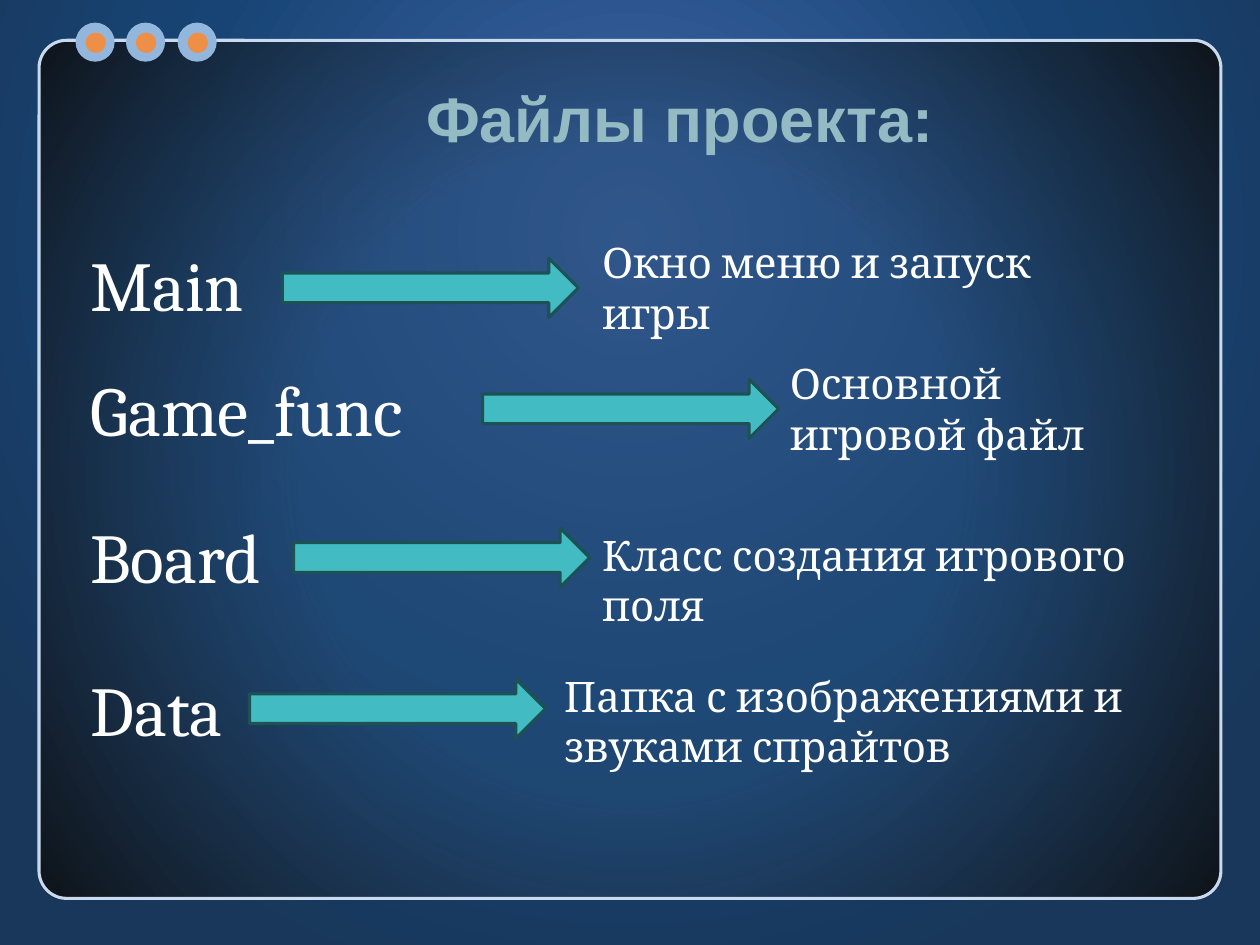
from dataclasses import dataclass
from lxml.etree import SubElement
from pptx import Presentation
from pptx.dml.color import RGBColor
from pptx.enum.shapes import MSO_SHAPE
from pptx.enum.text import MSO_ANCHOR, MSO_AUTO_SIZE, PP_ALIGN
from pptx.oxml.ns import qn
from pptx.util import Inches, Pt


@dataclass(frozen=True)
class Theme:
    text: str = "FFFFFF"
    arrow: str = "42BCC2"
    arrow_edge: str = "1D5255"
    panel_edge: str = "C9DAEE"
    ring: str = "93B6DD"
    dot: str = "EE8F48"
    backdrop: tuple = ((0, "4368AB", 100), (59, "174475", 100), (100, "18375A", 100))
    panel: tuple = ((45, "254B75", 60), (100, "0D0D0D", 85))
    heading: tuple = ((0, "DDE9EC", 100), (75, "94BAC3", 100), (100, "528693", 100))
    heading_font: str = "Arial"
    body_font: str = "Cambria"
    heading_size: int = 36
    name_size: int = 40
    purpose_size: int = 24
    edge_width: float = 1.75


def apply(target, values):
    for name, value in values.items():
        setattr(target, name, value)


def place(shape, box):
    apply(shape, dict(zip(("left", "top", "width", "height"), map(Inches, box))))


def paint_gradient(owner, fill, stops, focus=None):
    fill.gradient()
    gradient = owner.xpath(".//a:gradFill")[0]
    for child in list(gradient):
        gradient.remove(child)
    stop_list = SubElement(gradient, qn("a:gsLst"))
    for position, color, opacity in stops:
        stop = SubElement(stop_list, qn("a:gs"), pos=str(position * 1000))
        tint = SubElement(stop, qn("a:srgbClr"), val=color)
        if opacity < 100:
            SubElement(tint, qn("a:alpha"), val=str(opacity * 1000))
    if focus:
        circle = SubElement(gradient, qn("a:path"), path="circle")
        edges = {side: str(share * 1000) for side, share in zip("ltrb", focus)}
        SubElement(circle, qn("a:fillToRect"), edges)
    else:
        SubElement(gradient, qn("a:lin"), ang="5400000", scaled="0")


class SlideBuilder:
    def __init__(self, slide, theme):
        self.slide = slide
        self.theme = theme

    def backdrop(self):
        paint_gradient(self.slide.element, self.slide.background.fill,
                       self.theme.backdrop, (50, 0, 50, 50))

    def shape(self, preset, box, color=None, edge=None):
        shape = self.slide.shapes.add_shape(preset, *map(Inches, box))
        shape.shadow.inherit = False
        if color:
            shape.fill.solid()
            shape.fill.fore_color.rgb = RGBColor.from_string(color)
        if edge:
            shape.line.color.rgb = RGBColor.from_string(edge)
            shape.line.width = Pt(self.theme.edge_width)
        else:
            shape.line.fill.background()
        return shape

    def panel(self, box):
        panel = self.shape(MSO_SHAPE.ROUNDED_RECTANGLE, box, edge=self.theme.panel_edge)
        panel.adjustments[0] = 0.032
        paint_gradient(panel.element, panel.fill, self.theme.panel, (50, 50, 50, 50))

    def ringed_dot(self, left, top):
        self.shape(MSO_SHAPE.OVAL, (left, top, 0.31, 0.31), self.theme.ring)
        self.shape(MSO_SHAPE.OVAL, (left + 0.08, top + 0.08, 0.16, 0.16), self.theme.dot)

    def title(self, wording, box):
        title = self.slide.shapes.title
        title.element.getparent().append(title.element)
        place(title, box)
        apply(title.text_frame, {"text": wording, "vertical_anchor": MSO_ANCHOR.MIDDLE})
        paragraph = title.text_frame.paragraphs[0]
        paragraph.alignment = PP_ALIGN.CENTER
        font = paragraph.runs[0].font
        apply(font, {"name": self.theme.heading_font,
                     "size": Pt(self.theme.heading_size), "bold": True})
        paint_gradient(title.element, font.fill, self.theme.heading)

    def text(self, wording, box, size):
        frame = self.slide.shapes.add_textbox(*map(Inches, box)).text_frame
        apply(frame, {"text": wording, "word_wrap": True,
                      "auto_size": MSO_AUTO_SIZE.SHAPE_TO_FIT_TEXT})
        font = frame.paragraphs[0].runs[0].font
        apply(font, {"name": self.theme.body_font, "size": Pt(size)})
        font.color.rgb = RGBColor.from_string(self.theme.text)

    def arrow(self, left, top):
        self.shape(MSO_SHAPE.RIGHT_ARROW, (left, top, 2.35, 0.47),
                   self.theme.arrow, self.theme.arrow_edge)


PROJECT_FILES = (
    ("Main", (0.62, 1.87, 1.71, 0.77), (2.24, 2.05),
     "Окно меню и запуск игры", (4.68, 1.83, 3.9, 0.91)),
    ("Game_func", (0.62, 2.86, 3.32, 0.77), (3.83, 3.01),
     "Основной игровой файл", (6.17, 2.79, 2.77, 0.91)),
    ("Board", (0.62, 4.03, 1.89, 0.77), (2.33, 4.19),
     "Класс создания игрового поля", (4.68, 4.15, 5, 0.5)),
    ("Data", (0.62, 5.24, 1.71, 0.77), (1.98, 5.39),
     "Папка с изображениями и звуками спрайтов", (4.38, 5.27, 5, 0.91)),
)


def main():
    presentation = Presentation()
    apply(presentation, {"slide_width": Inches(10), "slide_height": Inches(7.5)})
    theme = Theme()
    builder = SlideBuilder(
        presentation.slides.add_slide(presentation.slide_layouts[5]), theme)
    builder.backdrop()
    builder.panel((0.31, 0.32, 9.38, 6.81))
    for left in (0.6, 1, 1.41):
        builder.ringed_dot(left, 0.18)
    builder.title("Файлы проекта:", (0.94, 0.41, 8.91, 1.04))
    for file_name, name_box, arrow_start, purpose, purpose_box in PROJECT_FILES:
        builder.text(file_name, name_box, theme.name_size)
        builder.arrow(*arrow_start)
        builder.text(purpose, purpose_box, theme.purpose_size)
    presentation.save("out.pptx")


if __name__ == "__main__":
    main()
